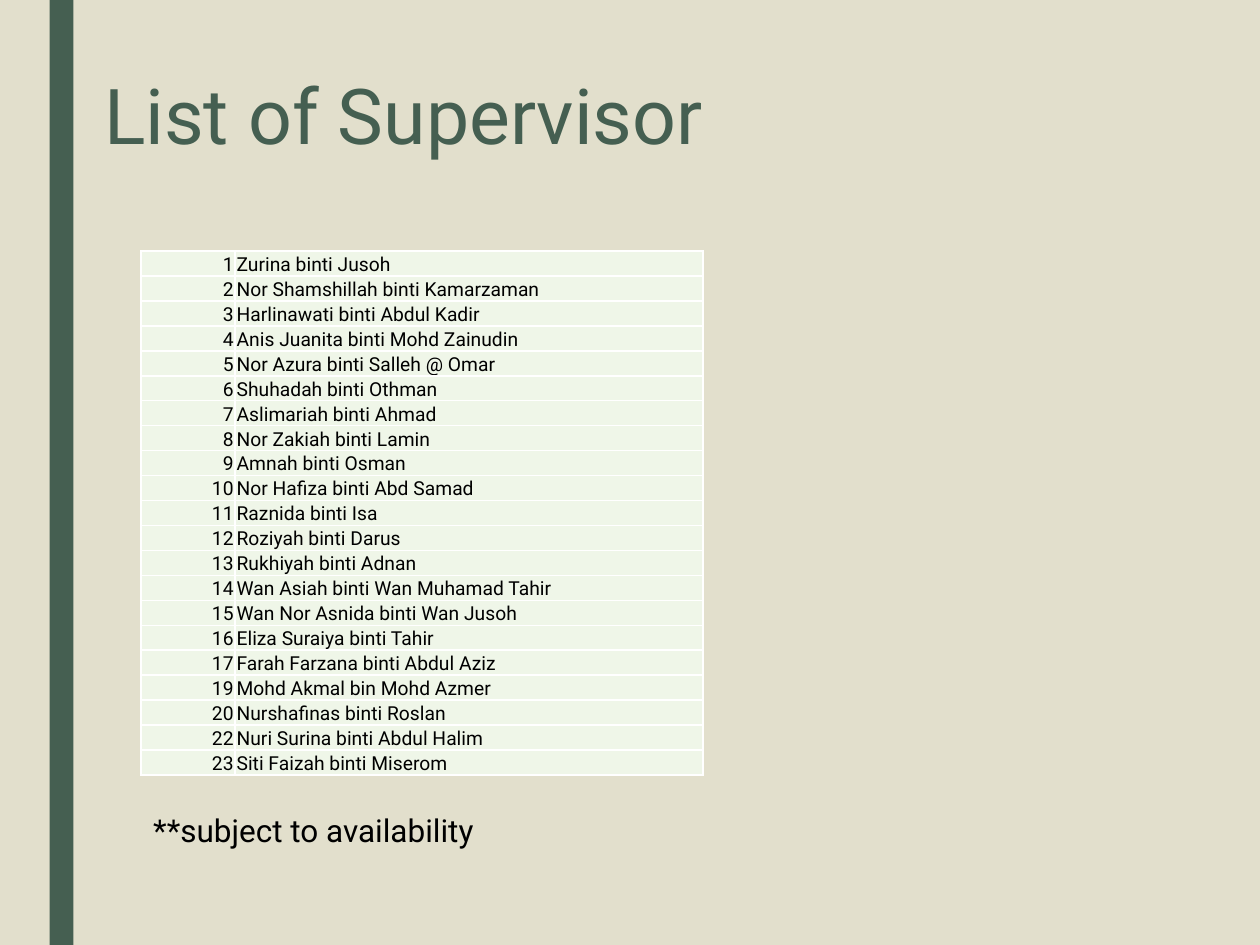
from lxml.etree import SubElement
from pptx import Presentation
from pptx.dml.color import RGBColor
from pptx.enum.shapes import MSO_SHAPE
from pptx.enum.text import MSO_ANCHOR, PP_ALIGN
from pptx.oxml.ns import qn
from pptx.util import Cm, Pt

SAND = RGBColor(0xE2, 0xDF, 0xCC)
GREEN = RGBColor(0x45, 0x5F, 0x51)
PALE_GREEN = RGBColor(0xEF, 0xF6, 0xE8)
WHITE = RGBColor(0xFF, 0xFF, 0xFF)
BLACK = RGBColor(0, 0, 0)
FONT = "Roboto"

SUPERVISORS = [
    (1, "Zurina binti Jusoh"),
    (2, "Nor Shamshillah binti Kamarzaman"),
    (3, "Harlinawati binti Abdul Kadir"),
    (4, "Anis Juanita binti Mohd Zainudin"),
    (5, "Nor Azura binti Salleh @ Omar"),
    (6, "Shuhadah binti Othman"),
    (7, "Aslimariah binti Ahmad"),
    (8, "Nor Zakiah binti Lamin"),
    (9, "Amnah binti Osman"),
    (10, "Nor Hafiza binti Abd Samad"),
    (11, "Raznida binti Isa"),
    (12, "Roziyah binti Darus"),
    (13, "Rukhiyah binti Adnan"),
    (14, "Wan Asiah binti Wan Muhamad Tahir"),
    (15, "Wan Nor Asnida binti Wan Jusoh"),
    (16, "Eliza Suraiya binti Tahir"),
    (17, "Farah Farzana binti Abdul Aziz"),
    (19, "Mohd Akmal bin Mohd Azmer"),
    (20, "Nurshafinas binti Roslan"),
    (22, "Nuri Surina binti Abdul Halim"),
    (23, "Siti Faizah binti Miserom"),
]


def add_run(p, text, size, color):
    r = p.add_run()
    r.text = text
    r.font.name = FONT
    r.font.size = Pt(size)
    r.font.color.rgb = color


def add_borders(cell, color):
    """Draw a 1 pt line on all four sides; call before filling the cell."""
    tcPr = cell._tc.get_or_add_tcPr()
    for side in ("a:lnL", "a:lnR", "a:lnT", "a:lnB"):
        ln = SubElement(tcPr, qn(side), w=str(Pt(1)))
        fill = SubElement(ln, qn("a:solidFill"))
        SubElement(fill, qn("a:srgbClr"), val=str(color))


prs = Presentation()
prs.slide_width, prs.slide_height = Cm(25.4), Cm(19.05)
s = prs.slides.add_slide(prs.slide_layouts[6])
s.background.fill.solid()
s.background.fill.fore_color.rgb = SAND

# Side bar
bar = s.shapes.add_shape(MSO_SHAPE.RECTANGLE, Cm(1), 0, Cm(0.48), prs.slide_height)
bar.shadow.inherit = False
bar.fill.solid()
bar.fill.fore_color.rgb = GREEN
bar.line.fill.background()

# Title
tf = s.shapes.add_textbox(Cm(1.85), Cm(1.47), Cm(22.94), Cm(3.81)).text_frame
tf.word_wrap = True
p = tf.paragraphs[0]
p.line_spacing = 0.89
add_run(p, "List of Supervisor", 44, GREEN)

# Footnote
tf = s.shapes.add_textbox(Cm(2.84), Cm(15.44), Cm(19.25), Cm(1.8)).text_frame
tf.word_wrap = True
tf.vertical_anchor = MSO_ANCHOR.BOTTOM
add_run(tf.paragraphs[0], "**subject to availability", 18, BLACK)

# Supervisor table
table = s.shapes.add_table(
    len(SUPERVISORS), 2, Cm(2.84), Cm(5.06), Cm(11.33), Cm(10.58)
).table
table.first_row = table.horz_banding = False
table.columns[0].width = Cm(1.9)
table.columns[1].width = Cm(9.43)

for row, supervisor in zip(table.rows, SUPERVISORS):
    for cell, value, align in zip(row.cells, supervisor, (PP_ALIGN.RIGHT, PP_ALIGN.LEFT)):
        cell.margin_left = cell.margin_right = cell.margin_top = Cm(0.03)
        cell.margin_bottom = 0
        cell.vertical_anchor = MSO_ANCHOR.BOTTOM
        add_borders(cell, WHITE)
        cell.fill.solid()
        cell.fill.fore_color.rgb = PALE_GREEN
        p = cell.text_frame.paragraphs[0]
        p.alignment = align
        add_run(p, str(value), 11, BLACK)

prs.save("out.pptx")
